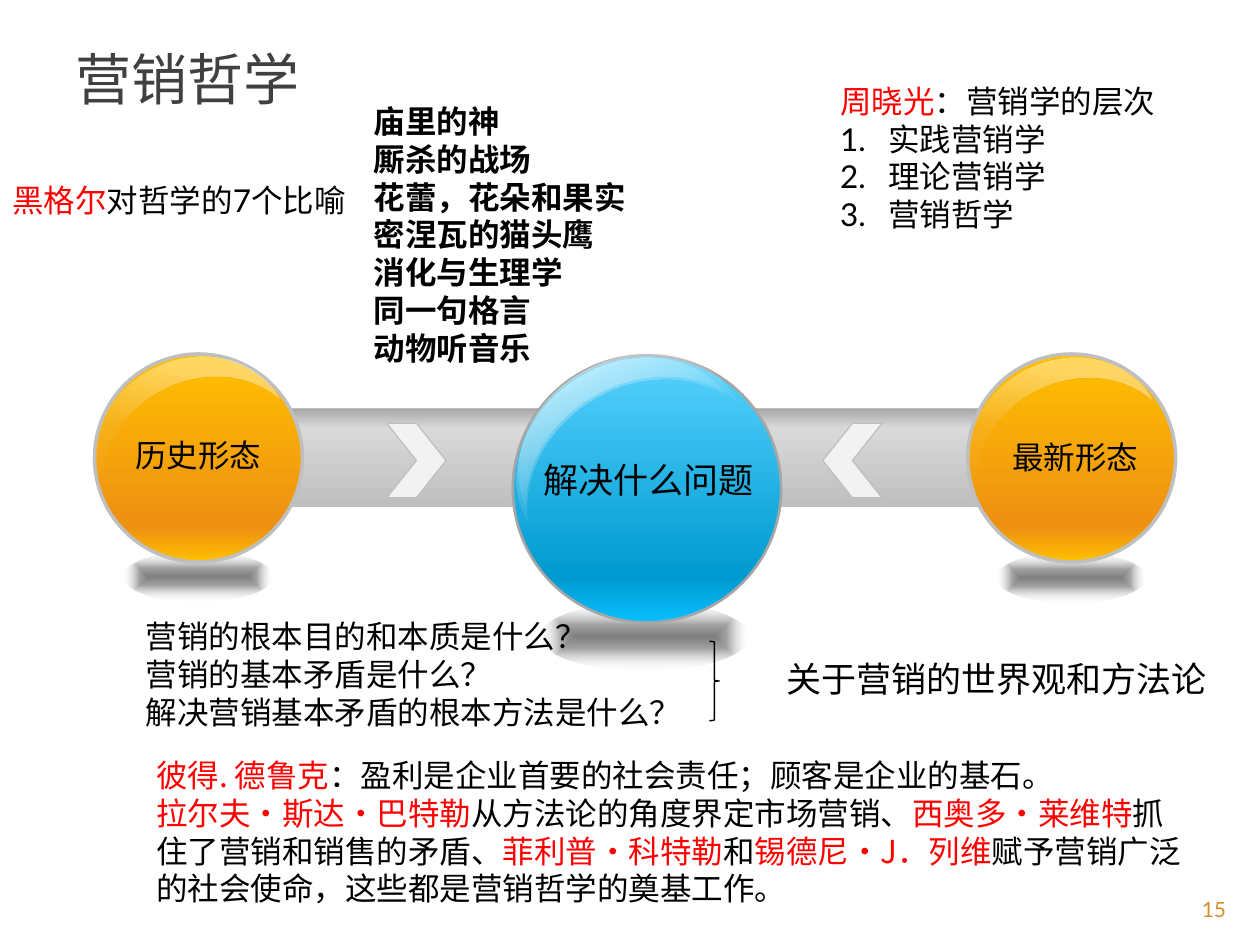
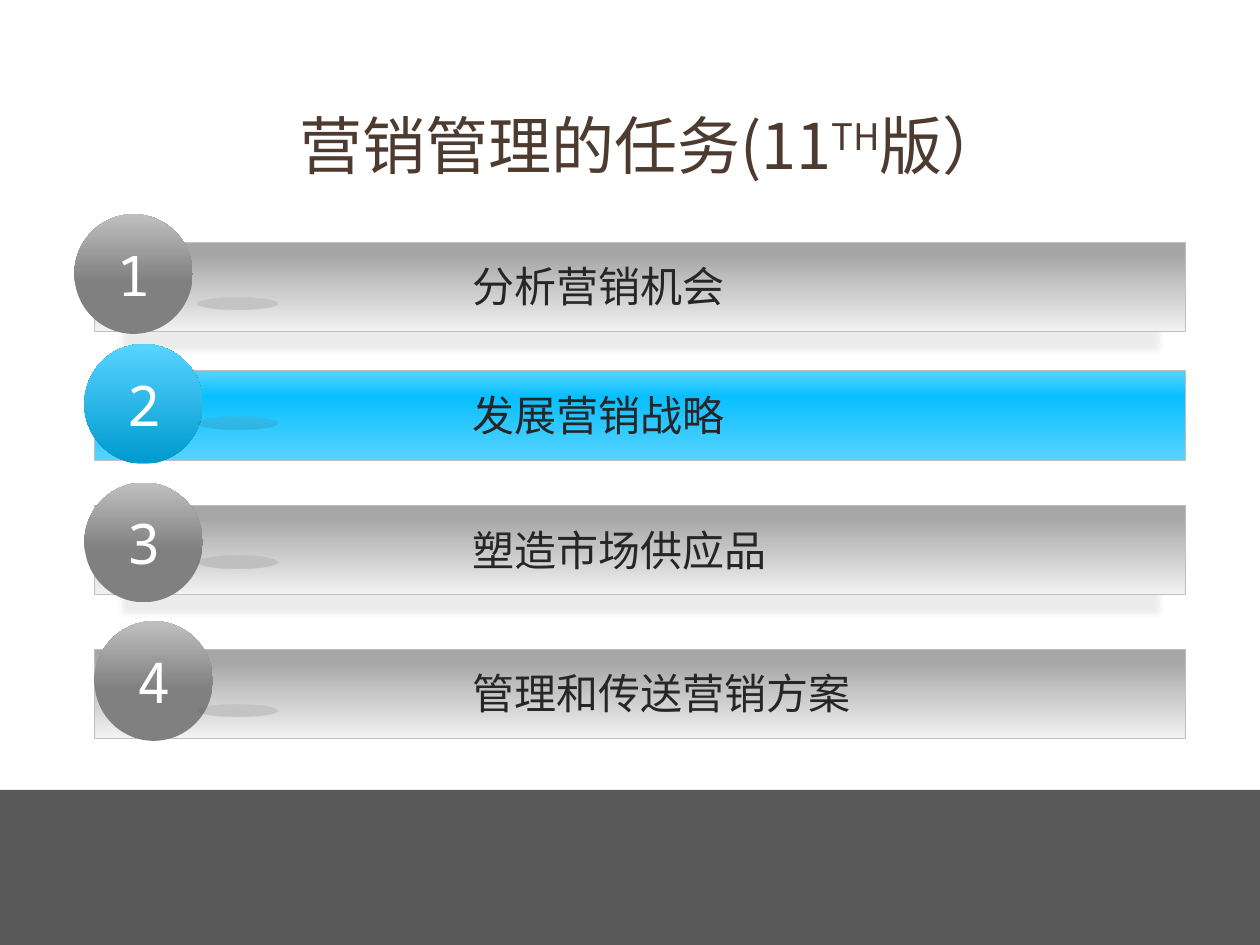
import pptx
import pptx.util
import pptx.dml.color
import pptx.enum.shapes
import pptx.enum.text
import pptx.oxml
import pptx.oxml.ns

Inches, Pt = pptx.util.Inches, pptx.util.Pt
RGB = pptx.dml.color.RGBColor.from_string
SHAPE = pptx.enum.shapes.MSO_SHAPE
ALIGN = pptx.enum.text.PP_ALIGN
ANCHOR = pptx.enum.text.MSO_ANCHOR
AUTO = pptx.enum.text.MSO_AUTO_SIZE
qn = pptx.oxml.ns.qn
NS = 'xmlns:a="http://schemas.openxmlformats.org/drawingml/2006/main"'

# Shared colours and fonts
BLACK, WHITE, RED = RGB("000000"), RGB("FFFFFF"), RGB("FF0000")
TITLE_GRAY, TITLE_BROWN, PAGE_GOLD = RGB("404040"), RGB("4E3B30"), RGB("D48F29")
INK, BAND_GRAY, PALE = RGB("262626"), RGB("595959"), RGB("F2F2F2")
SILVER, MID_GRAY, GRAY, SOFT = RGB("BFBFBF"), RGB("A6A6A6"), RGB("808080"), RGB("D9D9D9")
AMBER, ORANGE, SNOW = RGB("FFC000"), RGB("EE9012"), RGB("F5F5F5")
SKY, BLUE, DEEP_BLUE = RGB("57D3FF"), RGB("09BFFF"), RGB("009AD0")
LATIN, CJK, MONO = "Lato", "Noto Sans CJK SC", "Noto Sans Mono"

# Gradients: stops of (position %, colour, opacity %), then angle; None is radial
FLOOR_SHADOW = [(0, GRAY, 100), (35, GRAY, 72), (100, PALE, 0)], None
PIPE = [(0, MID_GRAY, 100), (20, SOFT, 100), (100, SILVER, 100)], 90
ORANGE_BALL = [(0, AMBER, 100), (17, ORANGE, 100), (100, AMBER, 100)], 270
BLUE_BALL = [(0, BLUE, 100), (17, DEEP_BLUE, 100), (100, SKY, 100)], 270
SHINE = [(0, WHITE, 0), (35, SNOW, 7), (69, WHITE, 38)]
GRAY_BAR = [(0, MID_GRAY, 100), (13, MID_GRAY, 100), (100, PALE, 100)], 90
BLUE_BAR = [(0, SKY, 100), (29, BLUE, 100), (100, SKY, 100)], 90
GRAY_DISC = [(0, GRAY, 100), (43, GRAY, 100), (100, SILVER, 100)], 270
BLUE_DISC = [(0, SKY, 100), (1, DEEP_BLUE, 100), (99, SKY, 100)], 270
DISC_SHADOW = [(0, INK, 13), (97, GRAY, 15)], 270

# Slide 1 content; words between asterisks are people's names, set in red
BALLS = [  # box, fill, line colour, line width, floor shadow box
    ((0.75, 2.81, 1.65, 1.65), ORANGE_BALL, SILVER, 2, (0.98, 4.38, 1.18, 0.39)),
    ((4.07, 2.82, 2.13, 2.12), BLUE_BALL, MID_GRAY, 1.5, (4.29, 4.78, 1.65, 0.54)),
    ((7.68, 2.81, 1.65, 1.65), ORANGE_BALL, SILVER, 2, (7.91, 4.39, 1.18, 0.39)),
]
BALL_LABELS = [
    ("历史形态", (0.97, 3.41, 1.21, 0.4), 18, False),
    ("解决什么问题", (4.21, 3.59, 1.88, 0.44), 20, True),
    ("最新形态", (7.93, 3.43, 1.21, 0.4), 18, False),
]
CHEVRONS = [(3.07, 0), (6.53, 180)]
SHINES = [  # box, rotation, gradient angle
    ((4.46, 2.34, 0.78, 1.87), 63.5, 180),
    ((4.4, 2.4, 0.78, 1.87), 58.4, 180),
    ((1.03, 2.44, 0.68, 1.57), 63.5, 220),
    ((7.96, 2.45, 0.68, 1.57), 63.5, 220),
]
NOTES = [  # paragraphs, box, format
    (["营销的根本目的和本质是什么？", "营销的基本矛盾是什么？",
      "解决营销基本矛盾的根本方法是什么？"], (1.06, 4.85, 6.14, 1.01), {}),
    (["*黑格尔*对哲学的7个比喻"], (0, 1.39, 2.95, 0.4), {}),
    (["*彼得. 德鲁克*：盈利是企业首要的社会责任；顾客是企业的基石。",
      "*拉尔夫·斯达·巴特勒*从方法论的角度界定市场营销、*西奥多·莱维特*抓住了营销和销售的矛盾、"
      "*菲利普·科特勒*和*锡德尼·J．列维*赋予营销广泛的社会使命，这些都是营销哲学的奠基工作。"],
     (1.14, 5.95, 8.35, 1.31), {}),
    (["*周晓光*：营销学的层次", "实践营销学", "理论营销学", "营销哲学"],
     (6.57, 0.6, 2.76, 1.31), {"numbered_from": 1}),
    (["关于营销的世界观和方法论"], (6.14, 5.17, 3.58, 0.44), {"size": 20}),
    (["庙里的神", "厮杀的战场", "花蕾，花朵和果实", "密涅瓦的猫头鹰", "消化与生理学",
      "同一句格言", "动物听音乐"], (2.87, 0.76, 2.36, 2.22), {"bold": True}),
]

# Slide 2 content: task, bar top, disc left, disc top, disc shadow top, text width
TASKS = [
    ("分析营销机会", 1.92, 0.59, 1.7, 2.36, 2.22),
    ("发展营销战略", 2.94, 0.67, 2.73, 3.31, 2.22),
    ("塑造市场供应品", 4.01, 0.67, 3.83, 4.41, 2.56),
    ("管理和传送营销方案", 5.15, 0.75, 4.93, 5.59, 3.23),
]
CURRENT_TASK = 2
SHADOWED_TASKS = (1, 3)


def write(tf, paragraphs, size=18, font=LATIN, color=BLACK, bold=False, align=None,
          anchor=ANCHOR.TOP, wrap=True, grow=False, accent=None, numbered_from=None):
    """Fill a text frame; parts between asterisks take the accent format."""
    tf.word_wrap = wrap
    tf.vertical_anchor = anchor
    tf.auto_size = AUTO.SHAPE_TO_FIT_TEXT if grow else AUTO.NONE
    for i, text in enumerate(paragraphs):
        p = tf.paragraphs[0] if i == 0 else tf.add_paragraph()
        p.alignment = align
        if numbered_from is not None and i >= numbered_from:
            pPr = p._p.get_or_add_pPr()
            pPr.set("marL", str(Inches(0.38)))
            pPr.set("indent", str(-Inches(0.38)))
            pPr.append(pptx.oxml.parse_xml(f'<a:buAutoNum {NS} type="arabicPeriod"/>'))
        for j, part in enumerate(text.split("*")):
            if not part:
                continue
            look = {"font": font, "color": color}
            if j % 2:
                look.update(accent or {})
            r = p.add_run()
            r.text = part
            r.font.size, r.font.bold = Pt(size), bold
            r.font.name, r.font.color.rgb = look["font"], look["color"]
            rPr = r._r.get_or_add_rPr()
            rPr.set("lang", "zh-CN")
            if "baseline" in look:
                rPr.set("baseline", str(look["baseline"]))
            # East Asian face set to Lato keeps the line pitch even
            rPr.append(pptx.oxml.parse_xml(f'<a:ea {NS} typeface="{LATIN}"/>'))


def add_text(s, paragraphs, box, **fmt):
    tb = s.shapes.add_textbox(*map(Inches, box))
    write(tb.text_frame, paragraphs, **fmt)


def set_gradient(sp, stops, angle):
    gs = "".join(f'<a:gs pos="{pos * 1000}"><a:srgbClr val="{color}">'
                 f'<a:alpha val="{opacity * 1000}"/></a:srgbClr></a:gs>'
                 for pos, color, opacity in stops)
    if angle is None:
        way = ('<a:path path="shape"><a:fillToRect l="50000" t="50000" r="50000" '
               'b="50000"/></a:path>')
    else:
        way = f'<a:lin ang="{angle * 60000}" scaled="0"/>'
    sp.fill.background()
    spPr = sp._element.spPr
    spPr.replace(spPr.find(qn("a:noFill")), pptx.oxml.parse_xml(
        f'<a:gradFill {NS} rotWithShape="1"><a:gsLst>{gs}</a:gsLst>{way}</a:gradFill>'))


def add_shape(s, kind, box, fill=None, line=None, width=0.25, rotation=0):
    sp = s.shapes.add_shape(kind, *map(Inches, box))
    sp.shadow.inherit = False
    sp.rotation = rotation
    if isinstance(fill, tuple) and not isinstance(fill, pptx.dml.color.RGBColor):
        set_gradient(sp, *fill)
    elif fill is None:
        sp.fill.background()
    else:
        sp.fill.solid()
        sp.fill.fore_color.rgb = fill
    if line is None:
        sp.line.fill.background()
    else:
        sp.line.color.rgb = line
        sp.line.width = Pt(width)
    return sp


def add_drop_shadow(sp):
    sp._element.spPr.find(qn("a:effectLst")).append(pptx.oxml.parse_xml(
        f'<a:outerShdw {NS} blurRad="{Pt(3)}" dist="{Pt(10)}" dir="5400000" sx="95000" '
        f'algn="ctr" rotWithShape="0"><a:srgbClr val="{GRAY}"><a:alpha val="15000"/>'
        '</a:srgbClr></a:outerShdw>'))


def build_philosophy(s):
    add_text(s, ["15"], (9, 7.08, 0.83, 0.27), size=12, color=PAGE_GOLD,
             align=ALIGN.RIGHT, anchor=ANCHOR.MIDDLE)
    # Floor shadows, pipe, then the balls on top
    for *_, shadow_box in BALLS:
        add_shape(s, SHAPE.OVAL, shadow_box, FLOOR_SHADOW)
    add_shape(s, SHAPE.RECTANGLE, (1.3, 3.24, 7.68, 0.78), PIPE, SILVER)
    add_text(s, ["营销哲学"], (0.5, 0.3, 9, 0.85), size=32, font=CJK, color=TITLE_GRAY)
    for box, fill, line, width, _ in BALLS:
        add_shape(s, SHAPE.OVAL, box, fill, line, width)
    for left, rotation in CHEVRONS:
        add_shape(s, SHAPE.CHEVRON, (left, 3.36, 0.47, 0.59), PALE, SILVER, 0.75, rotation)
    for label, box, size, wrap in BALL_LABELS:
        add_text(s, [label], box, size=size, font=CJK, align=ALIGN.CENTER,
                 wrap=wrap, grow=True)
    # Highlights on the balls
    for box, rotation, angle in SHINES:
        moon = add_shape(s, SHAPE.MOON, box, (SHINE, angle), rotation=rotation)
        moon.adjustments[0] = 0.275
    # Notes around the diagram
    for paragraphs, box, fmt in NOTES:
        add_text(s, paragraphs, box, grow=True, accent={"font": CJK, "color": RED}, **fmt)
    add_shape(s, SHAPE.RIGHT_BRACE, (5.63, 5.09, 0.08, 0.63), line=BLACK, width=0.79)


def build_tasks(s):
    add_text(s, ["营销管理的任务(11*TH*版）"], (0.51, 0.52, 9.34, 1.25), size=36, font=CJK,
             color=TITLE_BROWN, align=ALIGN.CENTER, anchor=ANCHOR.MIDDLE,
             accent={"baseline": 30000})
    for n, (task, top, disc_left, disc_top, shadow_top, width) in enumerate(TASKS, 1):
        current = n == CURRENT_TASK
        bar = add_shape(s, SHAPE.RECTANGLE, (0.75, top, 8.66, 0.71),
                        BLUE_BAR if current else GRAY_BAR, SILVER)
        if n in SHADOWED_TASKS:
            add_drop_shadow(bar)
        disc = add_shape(s, SHAPE.OVAL, (disc_left, disc_top, 0.94, 0.95),
                         BLUE_DISC if current else GRAY_DISC)
        write(disc.text_frame, [str(n)], size=32, font=MONO, color=WHITE,
              align=ALIGN.CENTER, anchor=ANCHOR.MIDDLE)
        add_shape(s, SHAPE.OVAL, (1.57, shadow_top, 0.63, 0.1), DISC_SHADOW)
        add_text(s, [task], (3.65, top + 0.1, width, 0.5), size=24, font=CJK, color=INK,
                 wrap=False, grow=True)
    # Bottom band
    add_shape(s, SHAPE.RECTANGLE, (0, 6.27, 10, 1.23), BAND_GRAY)


def main():
    prs = pptx.Presentation()
    prs.slide_width, prs.slide_height = Inches(10), Inches(7.5)
    for build in (build_philosophy, build_tasks):
        build(prs.slides.add_slide(prs.slide_layouts[6]))
    prs.save("out.pptx")


if __name__ == "__main__":
    main()
